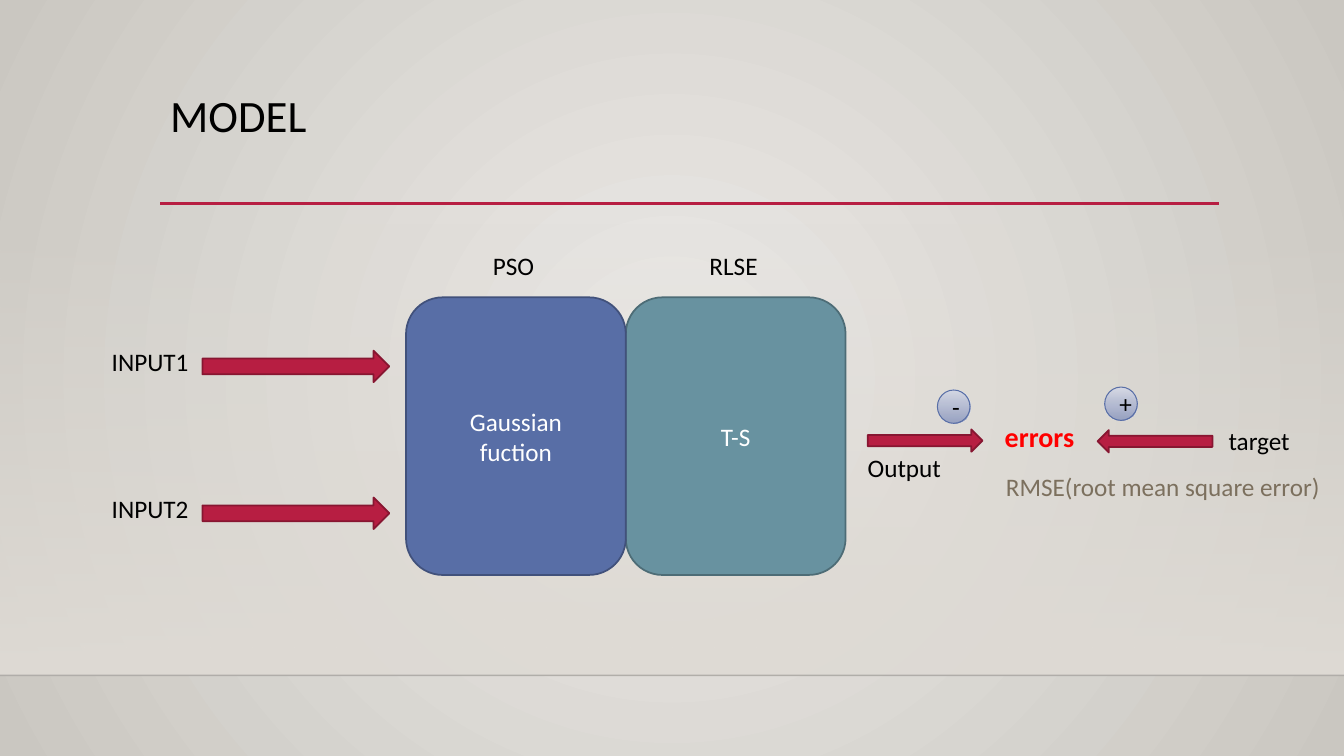
"""Build the MODEL slide: inputs, PSO and RLSE blocks, and the error signal."""
from dataclasses import dataclass
from lxml.etree import SubElement
from pptx import Presentation
from pptx.dml.color import RGBColor
from pptx.enum.shapes import MSO_CONNECTOR, MSO_SHAPE
from pptx.enum.text import MSO_ANCHOR, MSO_AUTO_SIZE, PP_ALIGN
from pptx.oxml.ns import qn
from pptx.util import Pt

RECT = MSO_SHAPE.RECTANGLE
ROUND = MSO_SHAPE.ROUNDED_RECTANGLE
ARROW = MSO_SHAPE.RIGHT_ARROW
OVAL = MSO_SHAPE.OVAL
LINE = MSO_CONNECTOR.STRAIGHT
MIDDLE = MSO_ANCHOR.MIDDLE
CENTER = PP_ALIGN.CENTER
GROW = MSO_AUTO_SIZE.SHAPE_TO_FIT_TEXT


@dataclass(frozen=True)
class Theme:
    font: str = "Calibri"
    title: int = 32
    large: int = 20
    body: int = 18
    black: str = "000000"
    white: str = "FFFFFF"
    alert: str = "FF0000"
    muted: str = "7C705E"
    red: str = "B71E42"
    wine: str = "871631"
    blue: str = "586EA6"
    navy: str = "41517B"
    teal: str = "6892A0"
    pine: str = "4D6C76"
    floor: str = "000001"
    back: tuple = (("ECEAE7", 100), ("CAC7C1", 100))
    wall: tuple = (("DFDBD5", 0), ("DFDBD5", 100))
    badge: tuple = (("D6D9E5", 100), ("929DC0", 92))


theme = Theme()


def blend(fill, stops):
    fill.gradient()
    fill.gradient_angle = 270
    for stop, (color, alpha) in zip(fill.gradient_stops, stops):
        stop.color.rgb = RGBColor.from_string(color)
        if alpha < 100:
            node = stop.color._xFill if hasattr(stop.color, "_xFill") else None
            node = stop._gs if node is None else node
            tint = next(node.iter(qn("a:srgbClr")))
            SubElement(tint, qn("a:alpha")).set("val", str(alpha * 1000))


def write(shape, text, color, size=theme.body, bold=False):
    frame = shape.text_frame
    frame.text = text
    for para in frame.paragraphs:
        for run in para.runs:
            run.font.name = theme.font
            run.font.size = Pt(size)
            run.font.bold = bold
            run.font.color.rgb = RGBColor.from_string(color)
    return frame


deck = Presentation()
deck.slide_width, deck.slide_height = Pt(960), Pt(540)
slide = deck.slides.add_slide(deck.slide_layouts[6])
shapes = slide.shapes

blend(slide.background.fill, theme.back)
grad = next(slide.element.iter(qn("a:gradFill")))
grad.remove(grad.find(qn("a:lin")))
glow = SubElement(grad, qn("a:path"))
glow.set("path", "circle")
focus = SubElement(glow, qn("a:fillToRect"))
for side in "ltrb":
    focus.set(side, "50000")

wall = shapes.add_shape(RECT, 0, Pt(159), Pt(960), Pt(323.4))
wall.shadow.inherit = False
wall.line.fill.background()
blend(wall.fill, theme.wall)

for left, right, top, color, width, alpha in (
    (0, 960, 482.4, theme.floor, 1, 20),
    (114.5, 871, 145.3, theme.red, 2.5, 100),
):
    rule = shapes.add_connector(LINE, Pt(left), Pt(top), Pt(right), Pt(top))
    rule.line.color.rgb = RGBColor.from_string(color)
    rule.line.width = Pt(width)
    SubElement(rule.element.spPr, qn("a:effectLst"))
    if alpha < 100:
        tint = next(rule.element.iter(qn("a:srgbClr")))
        SubElement(tint, qn("a:alpha")).set("val", str(alpha * 1000))

title = shapes.add_textbox(Pt(114.5), Pt(63.4), Pt(756), Pt(82.8))
head = write(title, "MODEL", theme.black, theme.title)
head.word_wrap = True
head.paragraphs[0].line_spacing = 0.9

for text, left, fill, edge in (
    ("T-S", 447, theme.teal, theme.pine),
    ("Gaussian\nfuction", 290, theme.blue, theme.navy),
):
    block = shapes.add_shape(ROUND, Pt(left), Pt(212.4), Pt(157), Pt(198.3))
    block.shadow.inherit = False
    block.fill.solid()
    block.fill.fore_color.rgb = RGBColor.from_string(fill)
    block.line.color.rgb = RGBColor.from_string(edge)
    block.line.width = Pt(1.25)
    frame = write(block, text, theme.white)
    frame.vertical_anchor = MIDDLE
    for para in frame.paragraphs:
        para.alignment = CENTER

for left, top, width, height, turn in (
    (144.6, 250.5, 133.5, 22.5, 0),
    (144.6, 355.4, 133.5, 22.5, 0),
    (619.8, 306.7, 82, 16, 0),
    (784, 307.2, 82, 16, 180),
):
    arrow = shapes.add_shape(ARROW, Pt(left), Pt(top), Pt(width), Pt(height))
    arrow.rotation = turn
    arrow.shadow.inherit = False
    arrow.fill.solid()
    arrow.fill.fore_color.rgb = RGBColor.from_string(theme.red)
    arrow.line.color.rgb = RGBColor.from_string(theme.wine)
    arrow.line.width = Pt(1.25)

for sign, left, top in (("-", 669.6, 278.6), ("+", 789.1, 276.5)):
    badge = shapes.add_shape(OVAL, Pt(left), Pt(top), Pt(23.3), Pt(23.8))
    badge.shadow.inherit = False
    blend(badge.fill, theme.badge)
    badge.line.color.rgb = RGBColor.from_string(theme.blue)
    badge.line.width = Pt(0.75)
    frame = write(badge, sign, theme.black)
    frame.vertical_anchor = MIDDLE
    frame.paragraphs[0].alignment = CENTER

for text, left, top, width, color, size, bold in (
    ("PSO", 344.9, 175, 46.8, theme.black, theme.body, False),
    ("RLSE", 499.7, 175, 51.8, theme.black, theme.body, False),
    ("INPUT1", 72.7, 244.1, 75.6, theme.black, theme.body, False),
    ("INPUT2", 72.7, 348.8, 75.6, theme.black, theme.body, False),
    ("Output", 612.7, 319.7, 69.1, theme.black, theme.body, False),
    ("target", 870.5, 300.2, 58.3, theme.black, theme.body, False),
    ("errors", 710.6, 296, 72.7, theme.alert, theme.large, True),
    ("RMSE(root mean square error)", 711.4, 332.9, 244, theme.muted, theme.body, False),
):
    height = 31.5 if size == theme.large else 29
    label = shapes.add_textbox(Pt(left), Pt(top), Pt(width), Pt(height))
    frame = write(label, text, color, size, bold)
    frame.word_wrap = False
    frame.auto_size = GROW

deck.save("out.pptx")
